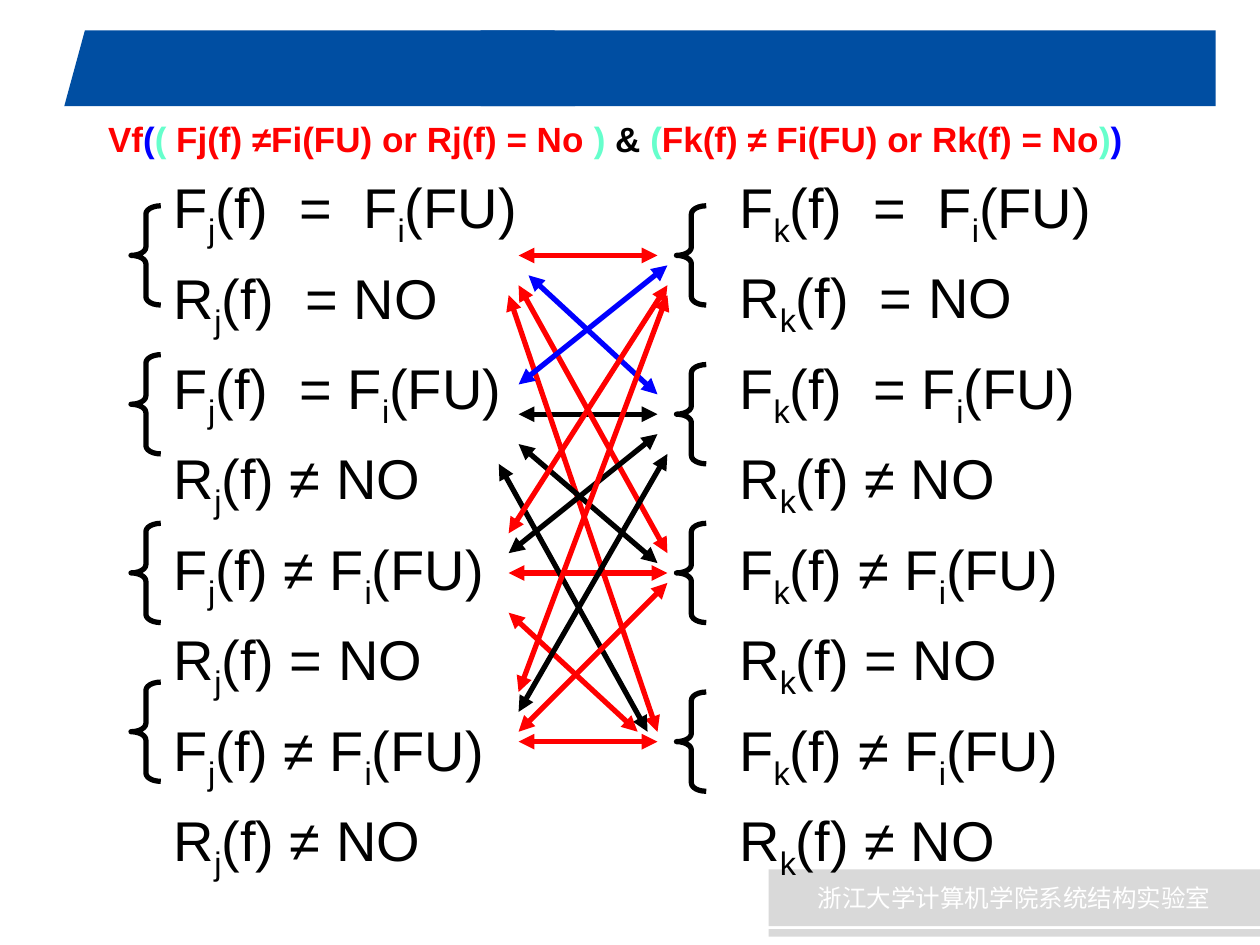
import pptx
import pptx.util
import pptx.dml.color
import pptx.enum.shapes
import pptx.enum.text
from pptx.oxml.ns import qn
from lxml import etree

Pt = pptx.util.Pt
SHAPE = pptx.enum.shapes.MSO_SHAPE
ALIGN = pptx.enum.text.PP_ALIGN
ANCHOR = pptx.enum.text.MSO_ANCHOR
AUTOSIZE = pptx.enum.text.MSO_AUTO_SIZE

COLORS = {
    "band": "004EA2", "footer": "D9D9D9", "white": "FFFFFF", "black": "000000",
    "red": "FF0000", "blue": "0000FF", "mint": "66FFCC",
}
GRID = 5.67  # step shared by the braces and arrows

# "_" stands for the index of the column, "~" for the index i
CONDITIONS = [
    "F_(f)  =  F~(FU)", "R_(f)  = NO",
    "F_(f)  = F~(FU)", "R_(f) ≠ NO",
    "F_(f) ≠ F~(FU)", "R_(f) = NO",
    "F_(f) ≠ F~(FU)", "R_(f) ≠ NO",
]
FORMULA = [
    ("Vf", "red"), ("(", "blue"), ("(", "mint"),
    (" Fj(f) ≠Fi(FU) or Rj(f) = No ", "red"), (") ", "mint"), ("& ", "black"),
    ("(", "mint"), ("Fk(f) ≠ Fi(FU) or Rk(f) = No", "red"),
    (")", "mint"), (")", "blue"),
]
# Colour, then x and y of both ends in grid steps
PAIRINGS = [
    ("red", 2, 0, 16, 0), ("black", 2, 16, 16, 16),
    ("red", 1, 32, 17, 32), ("red", 2, 49, 16, 49),
    ("blue", 3, 2, 16, 14), ("red", 2, 3, 17, 30),
    ("red", 1, 4, 16, 48), ("blue", 2, 13, 17, 1),
    ("black", 2, 19, 16, 31), ("black", 0, 21, 15, 48),
    ("red", 1, 28, 17, 3), ("black", 1, 30, 16, 18),
    ("red", 1, 36, 14, 48), ("red", 2, 44, 17, 4),
    ("black", 2, 46, 17, 20), ("red", 2, 48, 17, 33),
]


def rgb(name):
    return pptx.dml.color.RGBColor.from_string(COLORS[name])


def style_run(run, size, color, bold=False, face="Arial"):
    run.font.size = Pt(size)
    run.font.name = face
    run.font.bold = bold
    run.font.color.rgb = rgb(color)


def add_block(slide, kind, left, top, width, height, color):
    block = slide.shapes.add_shape(kind, Pt(left), Pt(top), Pt(width), Pt(height))
    block.shadow.inherit = False
    block.fill.solid()
    block.fill.fore_color.rgb = rgb(color)
    block.line.fill.background()
    return block


def add_header(slide, left, top, width, height):
    slant = add_block(slide, SHAPE.TRAPEZOID, left, top, 292, height, "band")
    slant.adjustments[0] = 0.273
    add_block(slide, SHAPE.RECTANGLE, left + 238, top, width - 238, height, "band")


def add_footer(slide, left, top, width, height):
    lab = add_block(slide, SHAPE.RECTANGLE, left, top, width, height, "footer")
    lab.text_frame.text = "浙江大学计算机学院系统结构实验室"
    lab.text_frame.vertical_anchor = ANCHOR.MIDDLE
    line = lab.text_frame.paragraphs[0]
    line.alignment = ALIGN.CENTER
    run = line.runs[0]
    style_run(run, 14, "white", face="Noto Sans CJK SC")
    east_asian = etree.SubElement(run.font._element, qn("a:ea"))
    east_asian.set("typeface", "Noto Sans CJK SC")
    add_block(slide, SHAPE.RECTANGLE, left, top + height + 1.8, width, 4.3, "footer")


def add_formula(slide, left, top, width, height):
    formula = slide.shapes.add_textbox(Pt(left), Pt(top), Pt(width), Pt(height))
    formula.text_frame.word_wrap = True
    line = formula.text_frame.paragraphs[0]
    for part, color in FORMULA:
        run = line.add_run()
        run.text = part
        style_run(run, 20, color, bold=True)


def fill_conditions(column, index, left, top, width, height):
    column.left, column.top = Pt(left), Pt(top)
    column.width, column.height = Pt(width), Pt(height)
    frame = column.text_frame
    frame.word_wrap = True
    frame.auto_size = AUTOSIZE.NONE
    frame.text = "\n".join(CONDITIONS)
    for row, (line, condition) in enumerate(zip(frame.paragraphs, CONDITIONS)):
        line.clear()
        properties = line._p.get_or_add_pPr()
        properties.set("marL", str(Pt(27)))
        properties.set("indent", str(Pt(-27)))
        etree.SubElement(properties, qn("a:buNone"))
        line.space_before = Pt(8 if row else 0)
        # Split the condition at its two subscript marks
        marked = condition.replace("_", f"|_{index}|").replace("~", "|_i|")
        for part in marked.split("|"):
            run = line.add_run()
            run.text = part.lstrip("_")
            style_run(run, 32, "black")
            if part.startswith("_"):
                run.font._element.set("baseline", "-25000")


def add_braces(slide, left, top, rows):
    for row in rows:
        brace = slide.shapes.add_shape(
            SHAPE.LEFT_BRACE, Pt(left), Pt(top + row * GRID), Pt(3 * GRID), Pt(10 * GRID))
        brace.shadow.inherit = False
        brace.adjustments[0] = 0.278
        brace.fill.background()
        brace.line.color.rgb = rgb("black")
        brace.line.width = Pt(3)


def add_pairings(slide, left, top):
    for color, x1, y1, x2, y2 in PAIRINGS:
        arrow = slide.shapes.add_connector(
            pptx.enum.shapes.MSO_CONNECTOR.STRAIGHT,
            Pt(left + x1 * GRID), Pt(top + y1 * GRID),
            Pt(left + x2 * GRID), Pt(top + y2 * GRID))
        arrow.line.color.rgb = rgb(color)
        arrow.line.width = Pt(3)
        outline = arrow.line._get_or_add_ln()
        for end in ("a:headEnd", "a:tailEnd"):
            etree.SubElement(outline, qn(end)).set("type", "triangle")
        etree.SubElement(arrow._element.spPr, qn("a:effectLst"))


def main():
    deck = pptx.Presentation()
    deck.slide_width, deck.slide_height = Pt(720), Pt(540)
    slide = deck.slides.add_slide(deck.slide_layouts[1])
    title = slide.shapes.title
    title._element.getparent().remove(title._element)

    # Template band and footer
    add_header(slide, 36.7, 17.3, 658, 43.4)
    add_footer(slide, 439.2, 496.8, 280.8, 32.4)

    # Conditions of the two units j and k
    fill_conditions(slide.placeholders[1], "j", 92.2, 95, 245.5, 407.5)
    k_column = slide.shapes.add_textbox(0, 0, 0, 0)
    fill_conditions(k_column, "k", 415.4, 95, 245.5, 407.5)

    # Braces and the arrows that pair them
    add_braces(slide, 74.9, 146, (-5, 10, 27, 43))
    add_braces(slide, 386.6, 146, (-5, 11, 27, 44))
    add_pairings(slide, 285, 146)

    add_formula(slide, 54.7, 63.4, 629.3, 31)
    deck.save("out.pptx")


if __name__ == "__main__":
    main()
